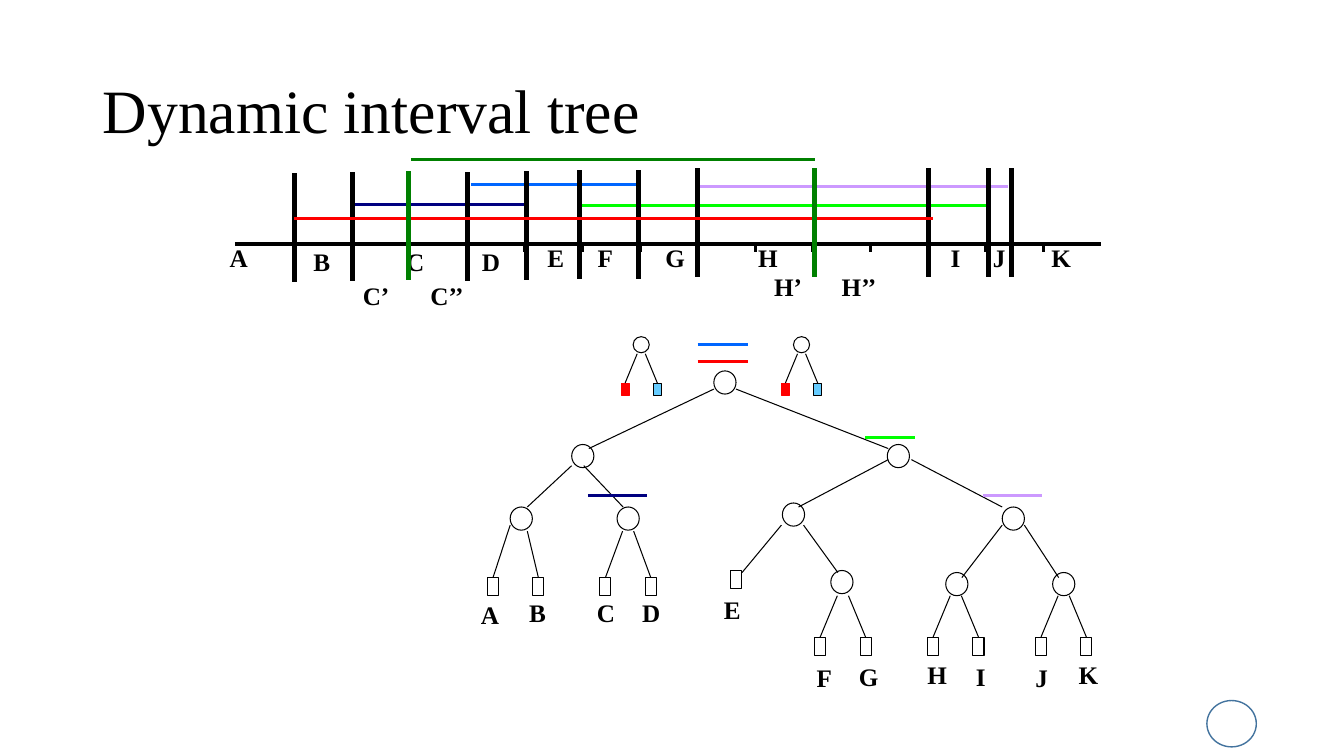
from pptx import Presentation
from pptx.dml.color import RGBColor
from pptx.enum.shapes import MSO_CONNECTOR, MSO_SHAPE
from pptx.enum.text import MSO_ANCHOR, MSO_AUTO_SIZE, PP_ALIGN
from pptx.oxml.ns import qn
from pptx.util import Cm, Pt
from lxml import etree

STRAIGHT = MSO_CONNECTOR.STRAIGHT
ELLIPSE = MSO_SHAPE.OVAL
RECTANGLE = MSO_SHAPE.RECTANGLE
MIDDLE = MSO_ANCHOR.MIDDLE
LEFT = PP_ALIGN.LEFT
NO_FIT = MSO_AUTO_SIZE.NONE
GROW = MSO_AUTO_SIZE.SHAPE_TO_FIT_TEXT

CM_PER_UNIT = 2.54
TITLE_ONLY = 5
BLACK, RED, BLUE, NAVY = "000000", "FF0000", "0066FF", "000080"
LIME, VIOLET, GREEN, SKY = "00FF00", "CC99FF", "008000", "66CCFF"
TITLE_FONT = {"name": "Times New Roman", "size": Pt(44), "bold": False}
LABEL_FONT = {"name": "Times New Roman", "size": Pt(18), "bold": True}


def rgb(value):
    return RGBColor.from_string(value)


def lengths(*values):
    return [Cm(value * CM_PER_UNIT) for value in values]


def apply_format(target, values):
    for name, value in values.items():
        setattr(target, name, value)


class TreeSlide:
    def __init__(self, presentation):
        layout = presentation.slide_layouts[TITLE_ONLY]
        self.slide = presentation.slides.add_slide(layout)
        self.shapes = self.slide.shapes

    def title(self, text, left, top, width, height):
        shape = self.shapes.title
        box = dict(zip(("left", "top", "width", "height"),
                       lengths(left, top, width, height)))
        apply_format(shape, box)
        apply_format(shape.text_frame, {"vertical_anchor": MIDDLE, "auto_size": NO_FIT,
                                        "word_wrap": True, "text": text})
        paragraph = shape.text_frame.paragraphs[0]
        apply_format(paragraph, {"alignment": LEFT, "line_spacing": 0.9})
        self.style_font(paragraph, TITLE_FONT)

    def style_font(self, paragraph, font):
        apply_format(paragraph.font, font)
        paragraph.font.color.rgb = rgb(BLACK)

    def line(self, start_x, start_y, end_x, end_y, color=BLACK, width=0.75):
        points = lengths(start_x, start_y, end_x, end_y)
        connector = self.shapes.add_connector(STRAIGHT, *points)
        connector.line.color.rgb = rgb(color)
        connector.line.width = Pt(width)
        properties = connector._element.spPr
        etree.SubElement(properties, qn("a:effectLst"))

    def figure(self, kind, left, top, width, height, fill=None, color=BLACK, weight=0.75):
        shape = self.shapes.add_shape(kind, *lengths(left, top, width, height))
        shape.shadow.inherit = False
        if fill:
            shape.fill.solid()
            shape.fill.fore_color.rgb = rgb(fill)
        else:
            shape.fill.background()
        shape.line.color.rgb = rgb(color)
        shape.line.width = Pt(weight)

    def node(self, left, top):
        self.figure(ELLIPSE, left, top, 0.22, 0.23)

    def leaf(self, middle, top):
        self.figure(RECTANGLE, middle - 0.055, top, 0.11, 0.18)

    def branch(self, start_x, start_y, leaf_x, leaf_y):
        self.line(start_x, start_y, leaf_x, leaf_y)
        self.leaf(leaf_x, leaf_y)

    def fork(self, middle, top, bottom):
        for side in (-1, 1):
            self.branch(middle + side * 0.055, top, middle + side * 0.225, bottom)

    def small_tree(self, middle):
        for side, fill, color in ((-1, RED, RED), (1, SKY, BLACK)):
            foot = middle + side * 0.16
            self.figure(RECTANGLE, foot - 0.04, 3.8, 0.08, 0.12, fill, color)
            self.line(middle + side * 0.04, 3.51, foot, 3.8)
        self.figure(ELLIPSE, middle - 0.08, 3.34, 0.16, 0.16)

    def label(self, text, left, top, width=0.42, wrap=True, rotation=0):
        shape = self.shapes.add_textbox(*lengths(left, top, width, 0.4))
        shape.rotation = rotation
        apply_format(shape.text_frame, {"word_wrap": wrap, "auto_size": GROW, "text": text})
        self.style_font(shape.text_frame.paragraphs[0], LABEL_FONT)


def draw_timeline(tree):
    intervals = [(5.75, 9.83, 2.04, LIME), (6.92, 10, 1.85, VIOLET),
                 (3.5, 5.25, 2.03, NAVY), (4.67, 6.33, 1.83, BLUE)]
    for start, end, y, color in intervals:
        tree.line(start, y, end, y, color, 2)

    bars = [(2.92, 1.72), (3.5, 1.71), (4.64, 1.71), (5.22, 1.7), (5.75, 1.69),
            (6.33, 1.69), (6.92, 1.67), (9.21, 1.67), (9.8, 1.67), (10.03, 1.67)]
    for x, top in bars:
        tree.line(x, top, x, top + 1.08, BLACK, 3.5)

    labels = [("A", 2.18, 2.35), ("B", 3.01, 2.39), ("C", 3.93, 2.39), ("D", 4.68, 2.39),
              ("E", 5.33, 2.36), ("F", 5.83, 2.36), ("G", 6.5, 2.36), ("H", 7.42, 2.36),
              ("I", 9.33, 2.35), ("J", 9.75, 2.35), ("K", 10.33, 2.35)]
    for text, left, top in labels:
        tree.label(text, left, top)

    tree.line(2.33, 2.42, 10.92, 2.42, BLACK, 2.5)
    for index in range(14):
        x = 2.92 + index * 7.43 / 13
        tree.line(x, 2.42, x, 2.5, BLACK, 2.5)
    tree.line(2.92, 2.17, 9.25, 2.17, RED, 2)


def draw_inserted_interval(tree):
    tree.line(4.08, 1.58, 8.08, 1.58, GREEN, 2.25)
    for x, top in ((4.05, 1.7), (8.08, 1.67)):
        tree.line(x, top, x, top + 1.08, GREEN, 3.5)
    for text, left, top, width in (("C’", 3.5, 2.73, 0.5), ("C’’", 4.17, 2.73, 0.67),
                                   ("H’", 7.58, 2.64, 0.5), ("H’’", 8.25, 2.64, 0.67)):
        tree.label(text, left, top, width)


def draw_tree(tree):
    nodes = [(7.08, 3.68), (5.67, 4.41), (8.8, 4.41), (5.06, 5.03), (6.12, 5.03),
             (7.76, 4.99), (9.94, 5.03), (8.24, 5.66), (9.38, 5.68), (10.44, 5.68)]
    for left, top in nodes:
        tree.node(left, top)

    edges = [(7.08, 3.86, 5.84, 4.45), (7.3, 3.86, 8.81, 4.45), (8.81, 4.56, 7.92, 5.03),
             (9.04, 4.56, 9.94, 5.03), (10.16, 5.21, 10.5, 5.73), (9.94, 5.21, 9.54, 5.73),
             (7.97, 5.21, 8.31, 5.68), (5.79, 4.62, 6.18, 5.03), (5.67, 4.62, 5.23, 5.03)]
    for edge in edges:
        tree.line(*edge)

    tree.branch(5.06, 5.21, 4.89, 5.73)
    tree.branch(5.23, 5.27, 5.34, 5.73)
    tree.line(7.75, 5.21, 7.36, 5.68)
    tree.leaf(7.3, 5.66)
    tree.fork(6.23, 5.27, 5.73)
    for middle in (8.36, 9.48, 10.55):
        tree.fork(middle, 5.91, 6.32)

    labels = [("A", 4.67, 5.9, 0.38), ("B", 5.15, 5.88, 0.37), ("C", 5.82, 5.88, 0.38),
              ("D", 6.27, 5.88, 0.38), ("E", 7.08, 5.85, 0.37), ("F", 8, 6.52, 0.35),
              ("G", 8.42, 6.51, 0.4), ("H", 9.1, 6.49, 0.4), ("I", 9.58, 6.51, 0.3),
              ("J", 10.17, 6.52, 0.33), ("K", 10.6, 6.49, 0.4)]
    for text, left, top, width in labels:
        tree.label(text, left, top, width, wrap=False, rotation=359.8)

    stored_intervals = [(9.75, 10.33, 4.92, VIOLET), (6.92, 7.42, 3.59, RED),
                        (6.92, 7.42, 3.42, BLUE), (5.83, 6.42, 4.92, NAVY),
                        (8.58, 9.08, 4.34, LIME)]
    for start, end, y, color in stored_intervals:
        tree.line(start, y, end, y, color, 2)
    for middle in (7.95, 6.36):
        tree.small_tree(middle)


def main():
    presentation = Presentation()
    presentation.slide_width, presentation.slide_height = lengths(13.33, 7.5)
    tree = TreeSlide(presentation)
    tree.figure(ELLIPSE, 11.97, 6.95, 0.49, 0.46, color="43739E", weight=1)
    tree.title("Dynamic interval tree", 0.92, 0.4, 11.5, 1.45)
    draw_timeline(tree)
    draw_tree(tree)
    draw_inserted_interval(tree)
    presentation.save("out.pptx")


if __name__ == "__main__":
    main()
